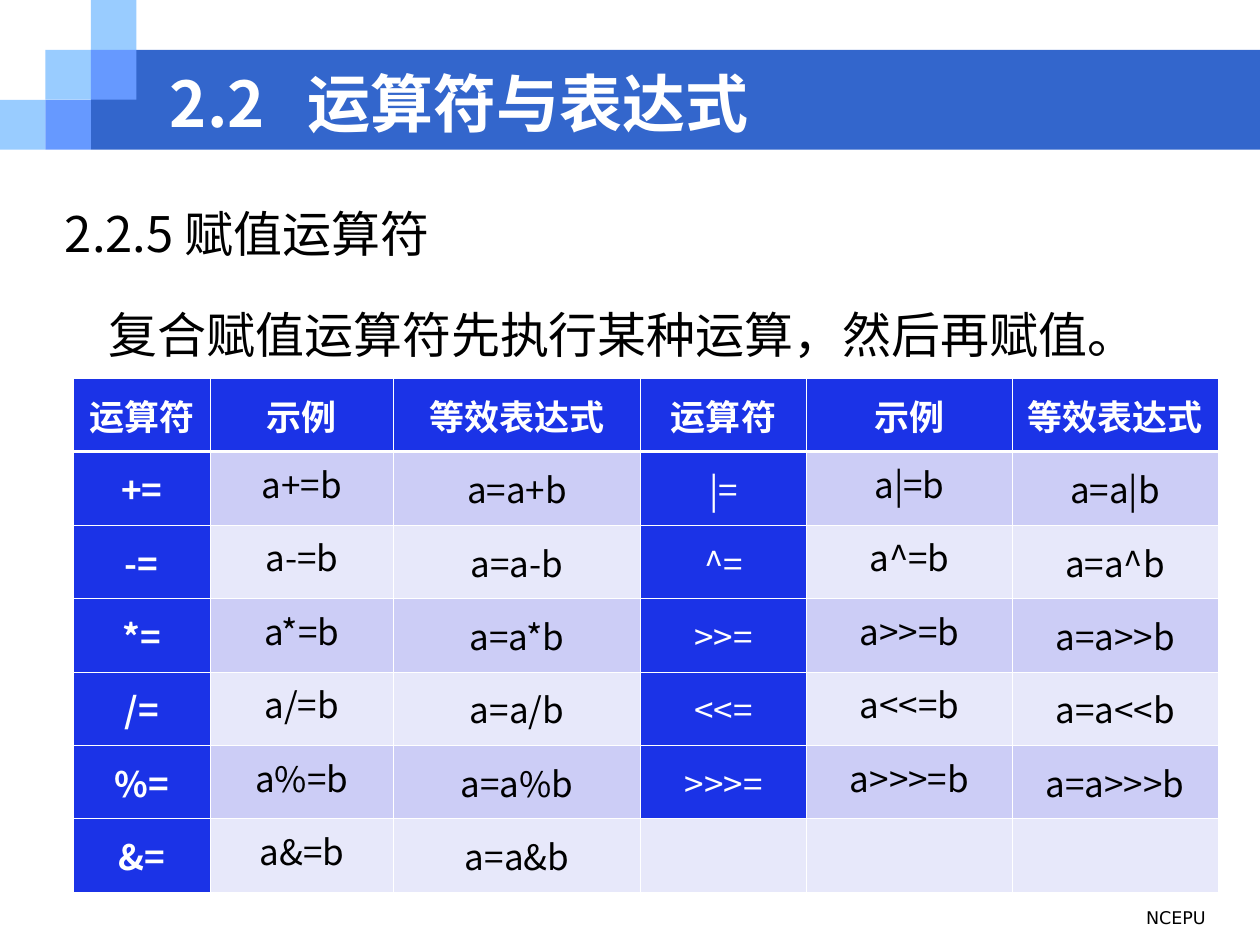
from lxml import etree
from pptx import Presentation
from pptx.dml.color import RGBColor
from pptx.enum import shapes, text
from pptx.oxml import ns
from pptx.util import Pt

WHITE = RGBColor(0xFF, 0xFF, 0xFF)
BLACK = RGBColor(0, 0, 0)
BAND = RGBColor(0x33, 0x66, 0xCC)
SKY = RGBColor(0x99, 0xCC, 0xFF)
MID = RGBColor(0x66, 0x99, 0xFF)
HEAD = RGBColor(0x1B, 0x33, 0xE7)
ROWS = (RGBColor(0xE7, 0xE8, 0xFA), RGBColor(0xCC, 0xCD, 0xF6))
SANS = "Noto Sans CJK SC"
TITLES = ["运算符", "示例", "等效表达式"]
LEFT = ["+", "-", "*", "/", "%", "&"]
RIGHT = ["|", "^", ">>", "<<", ">>>", ""]
COLS = [78, 105, 141, 95, 117.5, 117.5]


def style(para, size, color, bold=False, name=SANS):
    """Set the font of a paragraph, for Latin and East Asian text."""
    look = {"size": Pt(size), "bold": bold, "name": name}
    for run in para.runs:
        for key, val in look.items():
            setattr(run.font, key, val)
        run.font.color.rgb = color
        face = etree.SubElement(run.font._element, ns.qn("a:ea"))
        face.set("typeface", name)


def block(slide, box, color):
    """Draw a plain filled rectangle."""
    rect = slide.shapes.add_shape(shapes.MSO_SHAPE.RECTANGLE, *map(Pt, box))
    rect.shadow.inherit = False
    rect.fill.solid()
    rect.fill.fore_color.rgb = color
    rect.line.fill.background()


def label(slide, box, anchor=text.MSO_ANCHOR.TOP):
    """Add a wrapped text box and return its frame."""
    frame = slide.shapes.add_textbox(*map(Pt, box)).text_frame
    frame.word_wrap = True
    frame.vertical_anchor = anchor
    return frame


def banner(slide, x, y, wide, high):
    """Draw the title band with its stair of squares."""
    w, h = 26, high / 3
    block(slide, (x + 2 * w, y + h, wide - 2 * w, 2 * h), BAND)
    for color, spots in ((SKY, [(0, 2), (1, 1), (2, 0)]),
                         (MID, [(2, 1), (1, 2)])):
        for col, row in spots:
            block(slide, (x + col * w, y + row * h, w, h), color)


def title(slide, box):
    """Write the title, its words set at a tab stop."""
    para = label(slide, box, text.MSO_ANCHOR.MIDDLE).paragraphs[0]
    para.text = "2.2\t运算符与表达式"
    tabs = etree.SubElement(para._p.get_or_add_pPr(), ns.qn("a:tabLst"))
    stop = etree.SubElement(tabs, ns.qn("a:tab"))
    stop.set("pos", str(Pt(78.5)))
    stop.set("algn", "l")
    style(para, 36, WHITE, True)


def body(slide, box):
    """Write the section heading and the indented sentence."""
    frame = label(slide, box)
    frame.text = "2.2.5 赋值运算符\n复合赋值运算符先执行某种运算，然后再赋值。"
    for para in frame.paragraphs:
        para.line_spacing = 1.5
        style(para, 28, BLACK)
    para.space_before = Pt(7)
    para._p.get_or_add_pPr().set("indent", str(Pt(25)))


def edge(cell, sides):
    """Give a cell white borders of the given widths."""
    props = cell._tc.get_or_add_tcPr()
    for at, (side, width) in enumerate(sides.items()):
        line = etree.Element(ns.qn("a:" + side), w=str(Pt(width)))
        fill = etree.SubElement(line, ns.qn("a:solidFill"))
        etree.SubElement(fill, ns.qn("a:srgbClr"), val=str(WHITE))
        props.insert(at, line)


def triple(sign):
    """Return operator, example and equal expression for a sign."""
    return [f"{sign}=", f"a{sign}=b", f"a=a{sign}b"] if sign else [""] * 3


def grid(slide, box):
    """Fill the table of compound assignment operators."""
    data = [TITLES * 2]
    data += [triple(a) + triple(b) for a, b in zip(LEFT, RIGHT)]
    frame = slide.shapes.add_table(len(data), len(COLS), *map(Pt, box))
    table = frame.table
    for col, wide in zip(table.columns, COLS):
        col.width = Pt(wide)
    for r, row in enumerate(data):
        for c, word in enumerate(row):
            cell = table.cell(r, c)
            dark = bool(word) and (r == 0 or c % 3 == 0)
            top = r > 0 and c % 3 == 1
            cell.fill.solid()
            cell.fill.fore_color.rgb = HEAD if dark else ROWS[r % 2]
            cell.vertical_anchor = (text.MSO_ANCHOR.TOP if top
                                    else text.MSO_ANCHOR.MIDDLE)
            cell.margin_left = cell.margin_right = Pt(6)
            edge(cell, {"lnL": 0.45, "lnR": 0.45,
                        "lnT": 1.47 if r == 1 else 0.45,
                        "lnB": 1.47 if r == 0 else 0.45})
            para = cell.text_frame.paragraphs[0]
            para.alignment = text.PP_ALIGN.CENTER
            if word:
                para.text = word
                style(para, 20, WHITE if dark else BLACK, r == 0 or c == 0)


def footer(slide, box):
    """Write the footer at the right."""
    para = label(slide, box).paragraphs[0]
    para.text = "NCEPU"
    para.alignment = text.PP_ALIGN.RIGHT
    style(para, 10, BLACK, name="DejaVu Sans")


def main():
    """Build and save the slide."""
    deck = Presentation()
    deck.slide_width, deck.slide_height = Pt(720), Pt(540)
    slide = deck.slides.add_slide(deck.slide_layouts[6])
    banner(slide, 0, 0, 720, 85.5)
    footer(slide, (468, 515, 228, 25))
    title(slide, (90, 39.5, 582, 38))
    body(slide, (30, 96, 672, 414))
    grid(slide, (42, 216, 654, 294))
    deck.save("out.pptx")


if __name__ == "__main__":
    main()
